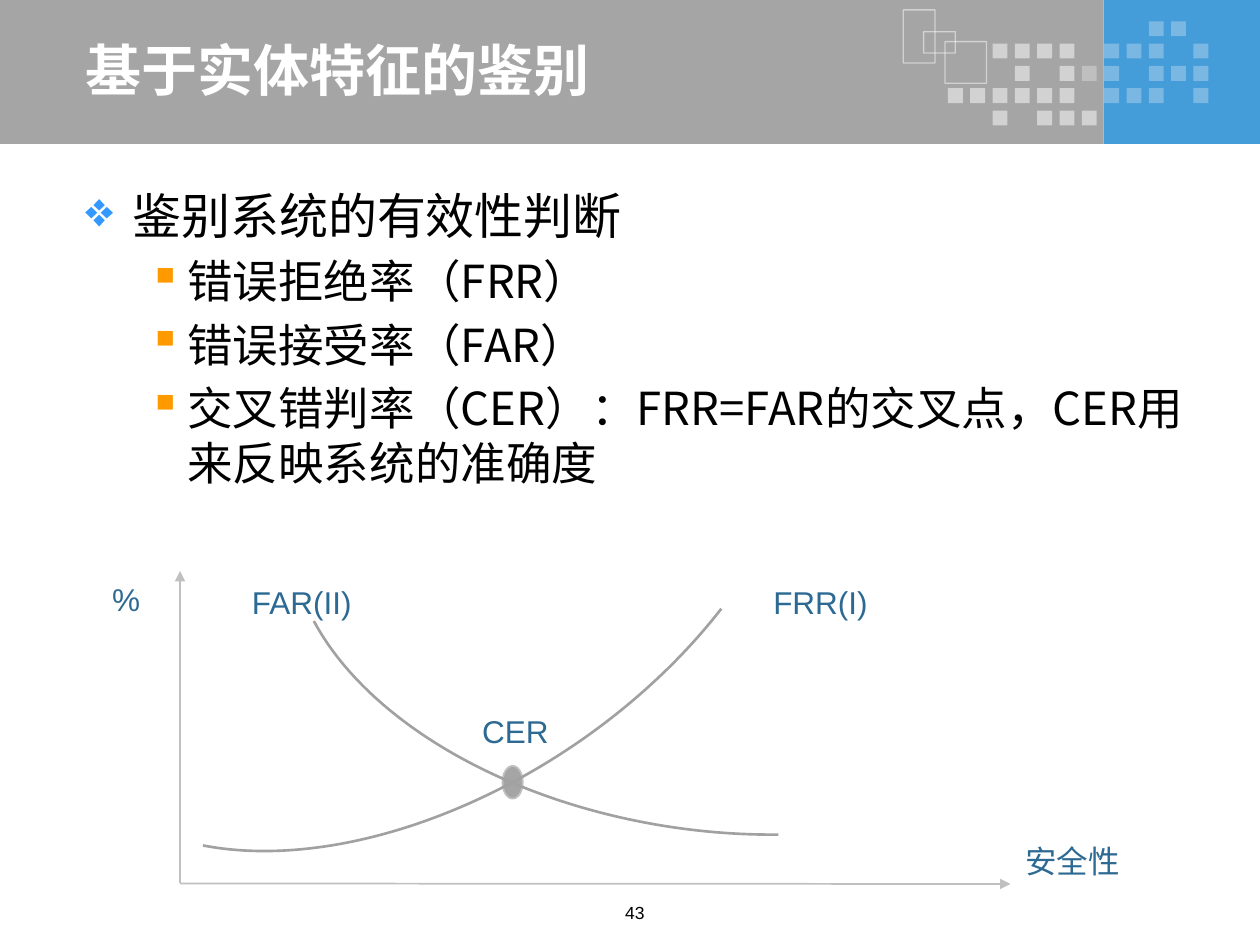
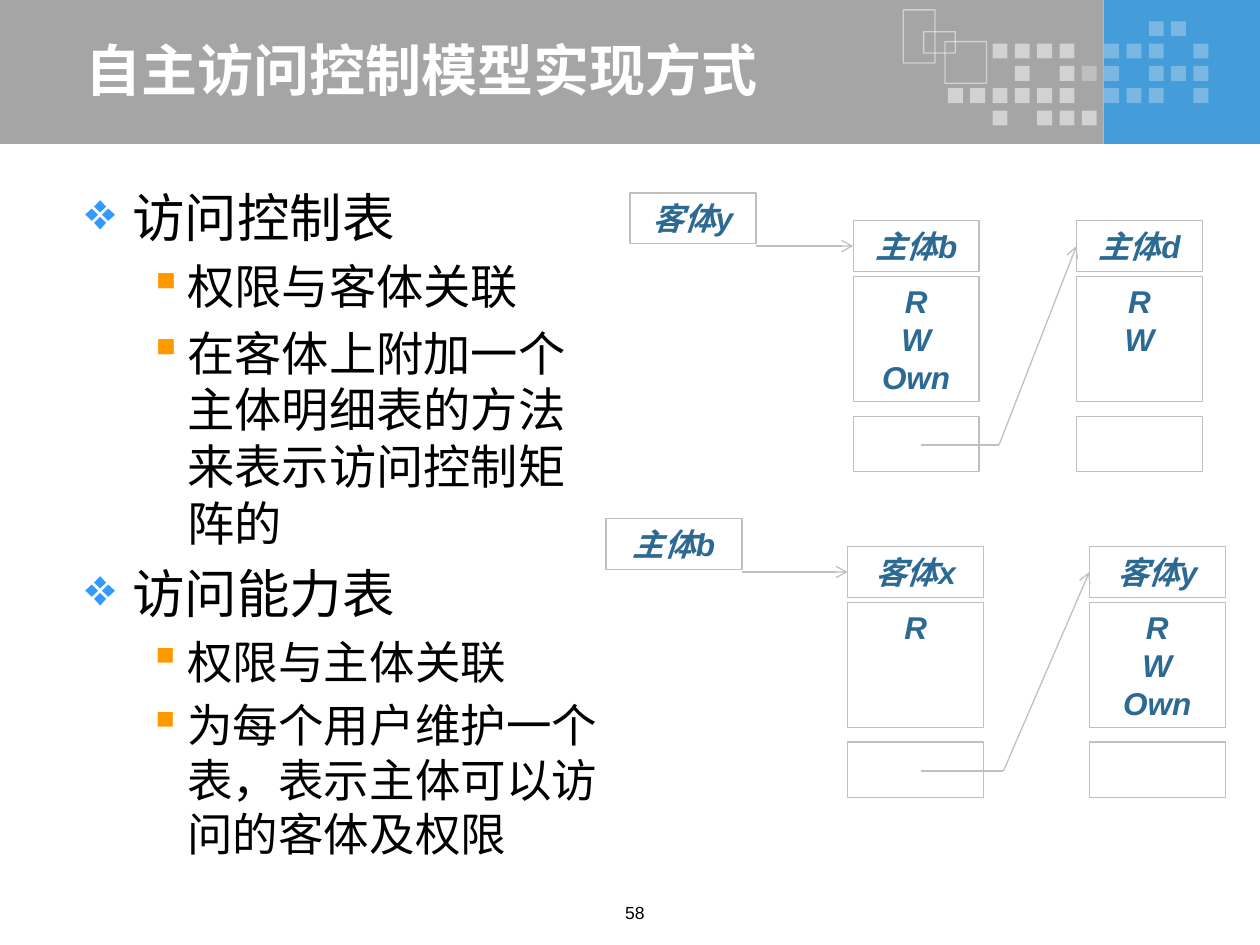
from pptx import Presentation
from pptx.dml.color import RGBColor
from pptx.enum.shapes import MSO_CONNECTOR, MSO_SHAPE
from pptx.enum.text import MSO_ANCHOR, PP_ALIGN
from pptx.oxml.ns import qn
from pptx.util import Cm, Pt
from lxml.etree import SubElement

WHITE = RGBColor(0xFF, 0xFF, 0xFF)
BLACK = RGBColor(0x00, 0x00, 0x00)
BLUE = RGBColor(0x44, 0x9C, 0xD8)
GREY = RGBColor(0xA5, 0xA5, 0xA5)
CURVE = RGBColor(0xA1, 0xA1, 0xA1)
SILVER = RGBColor(0xC0, 0xC0, 0xC0)
TEAL = RGBColor(0x2C, 0x69, 0x93)
AZURE = RGBColor(0x33, 0x99, 0xFF)
AMBER = RGBColor(0xFF, 0x99, 0x00)

HAN = "Noto Sans CJK SC"
LATIN = "Arial"
BULLETS = [("❖", AZURE, 0.95, 0.95), ("▪", AMBER, 2.06, 0.79)]
DOTS = [
    "---------++-",
    "--####-+++-+",
    "---#-#++-+++",
    "######-+++-+",
    "--#-###-----",
]
ALPHA = {"#": 50, "+": 29}
FRAMES = [(18.21, 0.2, 0.64, 1.07), (18.62, 0.64, 0.64, 0.43), (19.05, 0.84, 0.84, 0.84)]


def write(par, text, size=18, color=TEAL, face=LATIN, bold=False, italic=False,
          align=PP_ALIGN.LEFT, level=None, before=0):
    """Put formatted text, with a bullet if a level is given, into a paragraph."""
    par.alignment = align
    par.space_before = Pt(before)
    if level is not None:
        mark, tint, left, hang = BULLETS[level]
        props = par._p.get_or_add_pPr()
        props.set("marL", str(Cm(left)))
        props.set("indent", str(-Cm(hang)))
        SubElement(SubElement(props, qn("a:buClr")), qn("a:srgbClr"), val=str(tint))
        SubElement(props, qn("a:buChar"), char=mark)
    run = par.add_run()
    run.text = text
    font = run.font
    font.size, font.bold, font.italic, font.name = Pt(size), bold, italic, face
    font.color.rgb = color
    SubElement(run._r.get_or_add_rPr(), qn("a:ea"), typeface=HAN)


class Deck:
    """Holds the deck, its shared style and the current slide."""

    def __init__(self):
        """Start an empty deck of 4:3 slides."""
        self.deck = Presentation()
        self.deck.slide_width, self.deck.slide_height = Cm(25.4), Cm(19.05)
        self.slide = None

    def page(self, title, number):
        """Add a slide with its banner, title and page number."""
        self.slide = self.deck.slides.add_slide(self.deck.slide_layouts[6])
        self.shape(22.25, 0, 3.15, 2.9, fill=BLUE)
        self.shape(0, 0, 22.25, 2.9, fill=GREY)
        for row, marks in enumerate(DOTS):
            for col, mark in enumerate(marks):
                if mark in ALPHA:
                    self.shape(19.11 + 0.45 * col, 0.43 + 0.45 * row, 0.3, 0.3,
                               fill=WHITE, alpha=ALPHA[mark])
        for frame in FRAMES:
            self.shape(*frame, line=WHITE, alpha=50)
        self.label(title, 1.47, 0.71, 19.71, 1.35, anchor=MSO_ANCHOR.MIDDLE,
                   size=32, color=WHITE, face=HAN, bold=True)
        self.label(number, 11.63, 18.06, 2.34, 0.74, size=10, color=BLACK,
                   align=PP_ALIGN.CENTER)

    def shape(self, left, top, wide, high, kind=MSO_SHAPE.RECTANGLE, fill=None,
              line=None, width=0.75, alpha=None):
        """Add a preset shape."""
        item = self.slide.shapes.add_shape(kind, Cm(left), Cm(top), Cm(wide), Cm(high))
        item.shadow.inherit = False
        if fill is None:
            item.fill.background()
        else:
            item.fill.solid()
            item.fill.fore_color.rgb = fill
        if line is None:
            item.line.fill.background()
        else:
            item.line.color.rgb = line
            item.line.width = Pt(width)
        if alpha:
            for tint in item._element.spPr.xpath(".//a:srgbClr"):
                SubElement(tint, qn("a:alpha"), val=str(alpha * 1000))
        return item

    def arc(self, left, top, turn, start, end):
        """Add one error-rate curve as a turned elliptic arc."""
        item = self.shape(left, top, 17.04, 10.41, MSO_SHAPE.ARC, line=CURVE, width=1.5)
        item.rotation = turn
        for index, angle in enumerate((start, end)):
            item.adjustments[index] = angle * 0.6

    def label(self, text, left, top, wide, high=1.12, anchor=MSO_ANCHOR.TOP, **style):
        """Add a text box with one line."""
        frame = self.frame(left, top, wide, high)
        frame.vertical_anchor = anchor
        write(frame.paragraphs[0], text, **style)

    def frame(self, left, top, wide, high):
        """Add a wrapping text box and return its frame."""
        box = self.slide.shapes.add_textbox(Cm(left), Cm(top), Cm(wide), Cm(high))
        box.text_frame.word_wrap = True
        return box.text_frame

    def body(self, wide, items):
        """Add the bulleted list of (level, size, text)."""
        frame = self.frame(1.47, 3.61, wide, 14.17)
        for index, (level, size, text) in enumerate(items):
            par = frame.add_paragraph() if index else frame.paragraphs[0]
            write(par, text, size=size, color=BLACK, face=HAN, level=level,
                  before=size * 0.2 if index else 0)

    def cell(self, left, top, wide, high, lines=()):
        """Add an outlined box with centred lines."""
        item = self.shape(left, top, wide, high, line=SILVER)
        frame = item.text_frame
        frame.word_wrap = True
        frame.vertical_anchor = MSO_ANCHOR.TOP
        for index, text in enumerate(lines):
            par = frame.add_paragraph() if index else frame.paragraphs[0]
            write(par, text, bold=True, italic=True, align=PP_ALIGN.CENTER)
        return item

    def line(self, start, end, width=0.75, tip=None, goal=None):
        """Add a line, with an arrow tip and a goal box to join if given."""
        item = self.slide.shapes.add_connector(
            MSO_CONNECTOR.STRAIGHT, *map(Cm, start + end))
        item.line.color.rgb = SILVER
        item.line.width = Pt(width)
        if tip:
            SubElement(item.line._get_or_add_ln(), qn("a:tailEnd"), type=tip)
        SubElement(item._element.spPr, qn("a:effectLst"))
        if goal:
            item.end_connect(goal, 1)

    def chain(self, left, top, wide, step, owner, nodes):
        """Add an owner box and the linked list of its two nodes."""
        self.cell(left, top, wide, 1.02, [owner])
        heads = []
        for index, (name, rights) in enumerate(nodes, 1):
            side = left + step * index
            heads.append(self.cell(side, top + 0.56, wide, 1.02, [name]))
            self.cell(side, top + 1.68, wide, 2.53, rights)
            self.cell(side, top + 4.5, wide, 1.12)
        mid, low = top + 1.07, top + 5.08
        bend = left + step + wide + 0.4
        self.line((left + wide, mid), (left + step, mid), tip="arrow", goal=heads[0])
        self.line((18.57, low), (bend, low))
        self.line((bend, low), (left + 2 * step, mid), tip="arrow", goal=heads[1])


def main():
    """Build both slides and save the deck."""
    deck = Deck()

    deck.page("基于实体特征的鉴别", "43")
    deck.body(22.76, [
        (0, 28, "鉴别系统的有效性判断"),
        (1, 26, "错误拒绝率（FRR）"),
        (1, 26, "错误接受率（FAR）"),
        (1, 26, "交叉错判率（CER）：FRR=FAR的交叉点，CER用来反映系统的准确度"),
    ])
    zero = (3.63, 17.81)
    deck.line(zero, (3.63, 11.51), width=1, tip="triangle")
    deck.line(zero, (20.37, 17.82), width=1, tip="triangle")
    for text, left, top, wide in [
        ("%", 2.01, 11.56, 1.96),
        ("安全性", 20.42, 16.84, 3.71),
        ("FAR(II)", 4.83, 11.63, 3.71),
        ("FRR(I)", 15.34, 11.63, 3.51),
        ("CER", 9.47, 14.22, 2.54),
    ]:
        deck.label(text, left, top, wide)
    deck.shape(10.13, 15.44, 0.41, 0.66, MSO_SHAPE.OVAL, fill=GREY, line=SILVER, width=1)
    deck.arc(0.08, 5.54, 146.3, 228.1, 339.3)
    deck.arc(5.79, 6.32, 188.5, 246.9, 344.4)

    deck.page("自主访问控制模型实现方式", "58")
    deck.body(11, [
        (0, 30, "访问控制表"),
        (1, 27, "权限与客体关联"),
        (1, 27, "在客体上附加一个主体明细表的方法来表示访问控制矩阵的"),
        (0, 30, "访问能力表"),
        (1, 26, "权限与主体关联"),
        (1, 26, "为每个用户维护一个表，表示主体可以访问的客体及权限"),
    ])
    deck.chain(12.7, 3.89, 2.54, 4.5, "客体y",
               [("主体b", ["R", "W", "Own"]), ("主体d", ["R", "W"])])
    deck.chain(12.22, 10.46, 2.74, 4.87, "主体b",
               [("客体x", ["R"]), ("客体y", ["R", "W", "Own"])])

    deck.deck.save("out.pptx")


if __name__ == "__main__":
    main()
